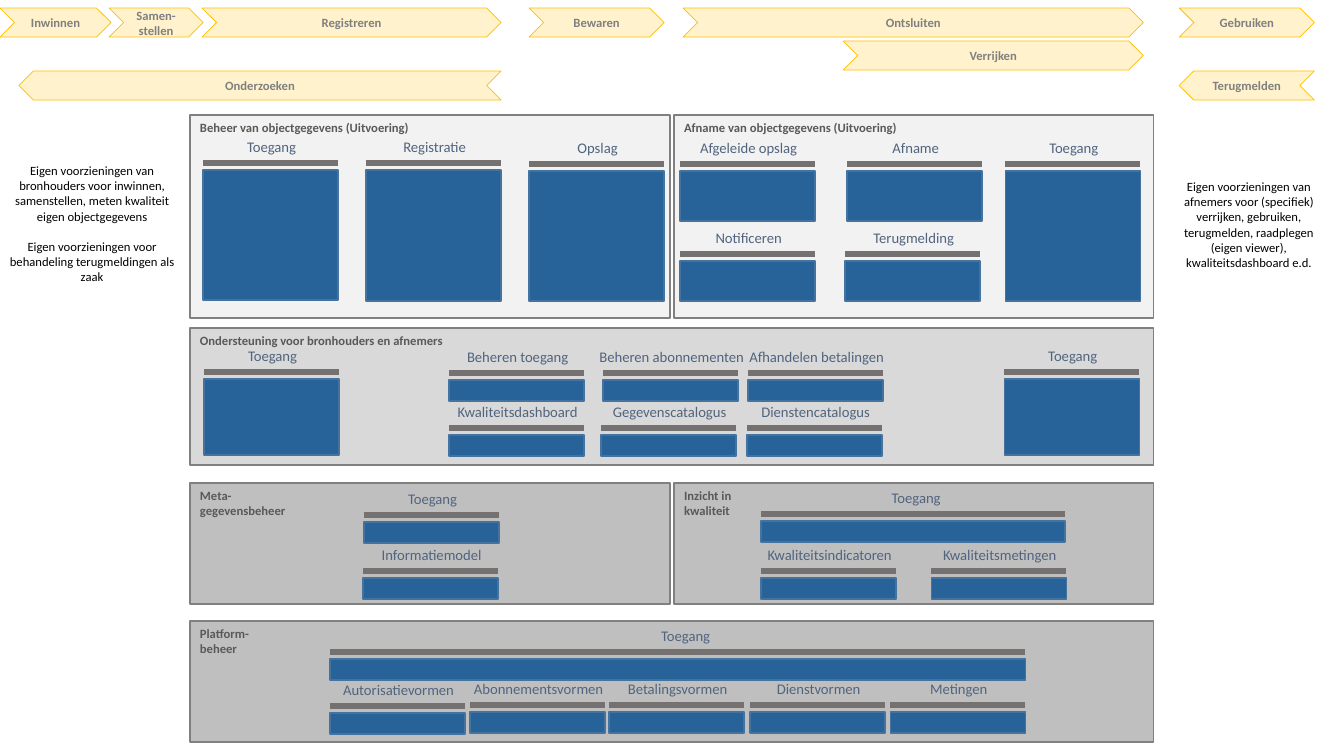
from lxml import etree
from pptx import Presentation
from pptx.dml.color import RGBColor
from pptx.enum.shapes import MSO_CONNECTOR, MSO_SHAPE
from pptx.enum.text import MSO_ANCHOR, PP_ALIGN
from pptx.oxml.ns import qn
from pptx.util import Emu, Inches, Pt

PX_PER_INCH = 100.8
FONT = "Calibri"
UNIT_WIDTH = 135

PANELS = [
    (["Beheer van objectgegevens (Uitvoering)"], 190, 115, 480, 203, "F2F2F2"),
    (["Afname van objectgegevens (Uitvoering)"], 674, 115, 479, 203, "F2F2F2"),
    (["Ondersteuning voor bronhouders en afnemers"], 190, 328, 963, 137, "D9D9D9"),
    (["Meta-", "gegevensbeheer"], 190, 483, 480, 121, "BFBFBF"),
    (["Inzicht in", "kwaliteit"], 674, 483, 479, 121, "BFBFBF"),
    (["Platform-", "beheer"], 190, 621, 963, 121, "BFBFBF"),
]

FORWARD_STEPS = [
    ("Inwinnen", 0, 8, 111),
    ("Samen-stellen", 109, 8, 94),
    ("Registreren", 202, 8, 299),
    ("Bewaren", 529, 8, 135),
    ("Ontsluiten", 683, 8, 460),
    ("Gebruiken", 1179, 8, 135),
    ("Verrijken", 843, 41, 300),
]
BACKWARD_STEPS = [
    ("Onderzoeken", 19, 71, 482),
    ("Terugmelden", 1179, 71, 135),
]

UNITS = [
    ("Toegang", 203, 163, 130),
    ("Registratie", 366, 163, 131),
    ("Opslag", 529, 164, 130),
    ("Afgeleide opslag", 680, 164, 50),
    ("Afname", 847, 164, 50),
    ("Toegang", 1005, 164, 130),
    ("Notificeren", 680, 254, 40),
    ("Terugmelding", 845, 254, 40),
    ("Toegang", 204, 372, 76),
    ("Toegang", 1004, 372, 76),
    ("Beheren toegang", 449, 373, 21),
    ("Beheren abonnementen", 603, 373, 21),
    ("Afhandelen betalingen", 748, 373, 21),
    ("Kwaliteitsdashboard", 449, 428, 21),
    ("Gegevenscatalogus", 601, 428, 21),
    ("Dienstencatalogus", 747, 428, 21),
    ("Toegang", 364, 515, 21),
    ("Informatiemodel", 363, 571, 21),
    ("Kwaliteitsindicatoren", 761, 571, 21),
    ("Kwaliteitsmetingen", 931, 571, 21),
    ("Autorisatievormen", 330, 706, 21),
    ("Abonnementsvormen", 470, 705, 21),
    ("Betalingsvormen", 609, 705, 21),
    ("Dienstvormen", 750, 705, 21),
    ("Metingen", 890, 705, 21),
]


def px(length):
    return Emu(round(length * 914400 / PX_PER_INCH))


def rgb(value):
    return RGBColor.from_string(value)


def write(frame, lines, size, color, bold=False, align=PP_ALIGN.LEFT, gap=0):
    for index, line in enumerate(lines):
        paragraph = frame.paragraphs[0] if index == 0 else frame.add_paragraph()
        paragraph.alignment = align
        paragraph.space_before = Pt(gap if index else 0)
        run = paragraph.add_run()
        run.text = line
        run.font.name = FONT
        run.font.size = Pt(size)
        run.font.bold = bold
        run.font.color.rgb = rgb(color)


def add_block(slide, kind, x, y, width, height, fill, line, weight=1):
    shape = slide.shapes.add_shape(kind, px(x), px(y), px(width), px(height))
    shape.shadow.inherit = False
    shape.fill.solid()
    shape.fill.fore_color.rgb = rgb(fill)
    shape.line.color.rgb = rgb(line)
    shape.line.width = Pt(weight)
    return shape


def add_panel(slide, title, x, y, width, height, fill):
    panel = add_block(slide, MSO_SHAPE.RECTANGLE, x, y, width, height, fill, "808080")
    panel.text_frame.vertical_anchor = MSO_ANCHOR.TOP
    write(panel.text_frame, title, 9, "595959", bold=True)


def add_step(slide, label, x, y, width, backward=False):
    step = add_block(slide, MSO_SHAPE.CHEVRON, x, y, width, 29, "FFF2CC", "FFC000", 0.5)
    if backward:
        step._element.spPr.find(qn("a:xfrm")).set("flipH", "1")
    step.text_frame.word_wrap = True
    step.text_frame.vertical_anchor = MSO_ANCHOR.MIDDLE
    write(step.text_frame, [label], 9, "808080", bold=True, align=PP_ALIGN.CENTER)


def add_bar(slide, x, y, width):
    bar = slide.shapes.add_connector(
        MSO_CONNECTOR.STRAIGHT, px(x), px(y), px(x + width), px(y))
    bar.line.color.rgb = rgb("767171")
    bar.line.width = Pt(4)
    etree.SubElement(bar._element.spPr, qn("a:effectLst"))


def add_unit(slide, label, x, y, height, width=UNIT_WIDTH, label_shift=1):
    add_bar(slide, x, y, width)
    label_width = 7 * len(label) + 16
    label_x = x + (width - label_width) / 2 + label_shift
    box = slide.shapes.add_textbox(px(label_x), px(y - 25), px(label_width), px(18))
    frame = box.text_frame
    frame.margin_left = frame.margin_right = frame.margin_top = frame.margin_bottom = 0
    frame.word_wrap = False
    write(frame, [label], 10.5, "51647E", align=PP_ALIGN.CENTER)
    add_block(slide, MSO_SHAPE.RECTANGLE, x, y + 7, width, height, "276399", "43739E")


def add_note(slide, lines, x, y, width, height):
    note = slide.shapes.add_textbox(px(x), px(y), px(width), px(height))
    note.text_frame.word_wrap = True
    write(note.text_frame, lines, 9, "000000", align=PP_ALIGN.CENTER, gap=11)


def main():
    presentation = Presentation()
    presentation.slide_width = Inches(13.33)
    presentation.slide_height = Inches(7.5)
    slide = presentation.slides.add_slide(presentation.slide_layouts[6])

    for panel in PANELS:
        add_panel(slide, *panel)
    for step in FORWARD_STEPS:
        add_step(slide, *step)
    for step in BACKWARD_STEPS:
        add_step(slide, *step, backward=True)
    for unit in UNITS:
        add_unit(slide, *unit)
    add_unit(slide, "Toegang", 761, 514, 21, width=304, label_shift=3)
    add_unit(slide, "Toegang", 330, 652, 21, width=695, label_shift=8)

    add_note(slide, [
        "Eigen voorzieningen van bronhouders voor inwinnen, samenstellen, "
        "meten kwaliteit eigen objectgegevens",
        "Eigen voorzieningen voor behandeling terugmeldingen als zaak",
    ], -2, 158, 188, 132)
    add_note(slide, [
        "Eigen voorzieningen van afnemers voor (specifiek) verrijken, gebruiken, "
        "terugmelden, raadplegen (eigen viewer), kwaliteitsdashboard e.d.",
    ], 1168, 174, 161, 102)

    presentation.save("out.pptx")


main()
